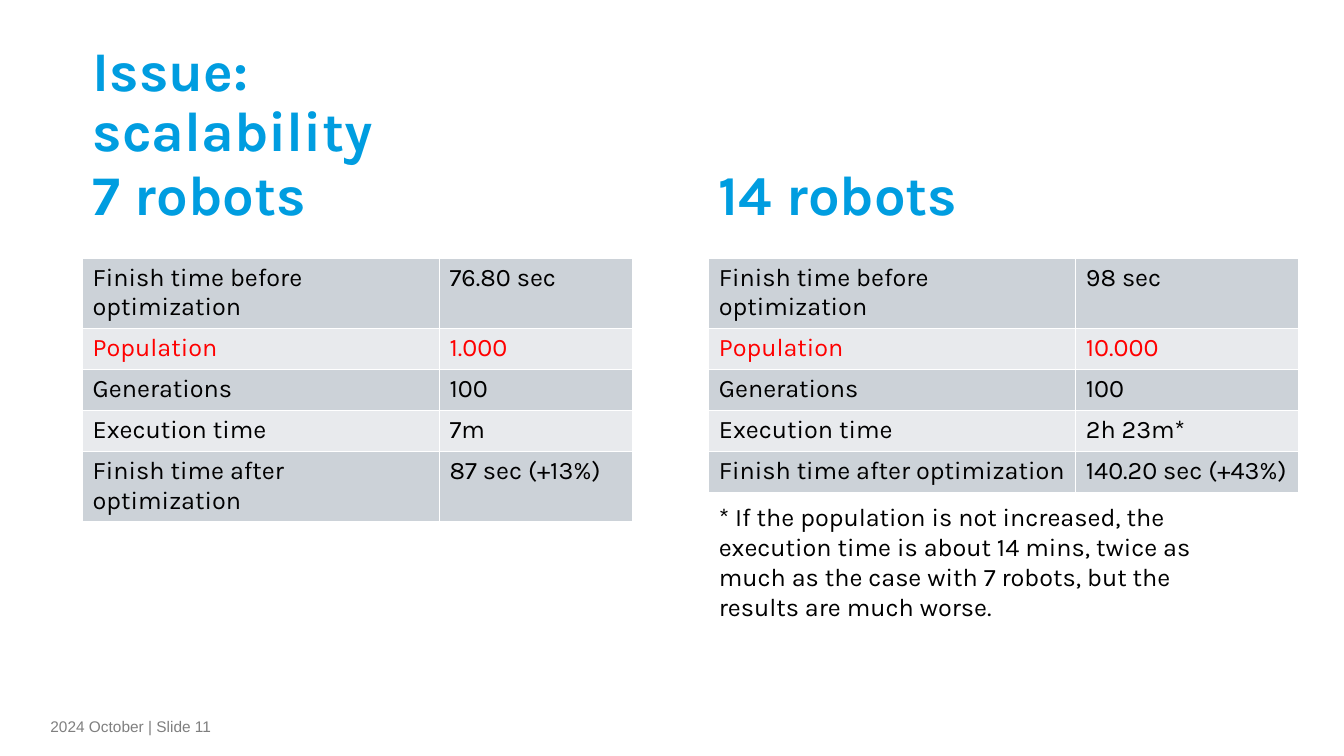
from dataclasses import dataclass

from lxml.etree import SubElement
from pptx import Presentation
from pptx.dml.color import RGBColor
from pptx.enum.text import MSO_ANCHOR
from pptx.oxml.ns import qn
from pptx.slide import Slide
from pptx.table import _Cell
from pptx.text.text import TextFrame
from pptx.util import Emu, Inches, Pt

SLIDE_WIDTH = Inches(13.33)
SLIDE_HEIGHT = Inches(7.5)

COLORS = {
    "heading": "009DE0",
    "text": "000000",
    "highlight": "FF0000",
    "footer": "7F7F7F",
    "dark_band": "CCD2D8",
    "light_band": "E8EAED",
    "border": "FFFFFF",
}

# Positions and sizes are percentages of the slide
LEFT_COLUMN = 6.15
RIGHT_COLUMN = 52.74
HEADING_TOP = 19.87
HEADING_WIDTH = 21.08
HEADING_HEIGHT = 12.4
TABLE_TOP = 34.13
ROW_HEIGHT = 5.41

ROW_LABELS = (
    "Finish time before optimization",
    "Population",
    "Generations",
    "Execution time",
    "Finish time after optimization",
)
HIGHLIGHTED_ROW = "Population"


@dataclass(frozen=True)
class Box:
    left: float
    top: float
    width: float
    height: float


@dataclass(frozen=True)
class Experiment:
    heading: str
    left: float
    column_widths: tuple[float, float]
    values: tuple[str, ...]


EXPERIMENTS = (
    Experiment("7 robots", LEFT_COLUMN, (26.56, 14.33),
               ("76.80 sec", "1.000", "100", "7m", "87 sec (+13%)")),
    Experiment("14 robots", RIGHT_COLUMN, (27.31, 16.6),
               ("98 sec", "10.000", "100", "2h 23m*", "140.20 sec (+43%)")),
)


def across(percent: float) -> Emu:
    return Emu(round(SLIDE_WIDTH * percent / 100))


def down(percent: float) -> Emu:
    return Emu(round(SLIDE_HEIGHT * percent / 100))


def write_text(frame: TextFrame, text: str, *, size: float = 18, font: str = "Karla",
               color: str = "text", bold: bool = False, line_spacing: float = 1.0) -> None:
    paragraph = frame.paragraphs[0]
    paragraph.line_spacing = line_spacing
    run = paragraph.add_run()
    run.text = text
    run.font.size = Pt(size)
    run.font.name = font
    run.font.bold = bold
    run.font.color.rgb = RGBColor.from_string(COLORS[color])


def add_text(slide: Slide, box: Box, text: str, *, anchor: MSO_ANCHOR = MSO_ANCHOR.TOP,
             **text_format) -> TextFrame:
    shape = slide.shapes.add_textbox(across(box.left), down(box.top),
                                     across(box.width), down(box.height))
    frame = shape.text_frame
    frame.word_wrap = True
    frame.vertical_anchor = anchor
    write_text(frame, text, **text_format)
    return frame


def add_heading(slide: Slide, box: Box, text: str) -> None:
    add_text(slide, box, text, anchor=MSO_ANCHOR.MIDDLE, size=40, color="heading",
             bold=True, line_spacing=0.9)


def add_borders(cell: _Cell) -> None:
    properties = cell._tc.get_or_add_tcPr()
    for side in ("a:lnL", "a:lnR", "a:lnT", "a:lnB"):
        line = SubElement(properties, qn(side), w=str(Pt(1)))
        fill = SubElement(line, qn("a:solidFill"))
        SubElement(fill, qn("a:srgbClr"), val=COLORS["border"])


def add_results_table(slide: Slide, experiment: Experiment) -> None:
    row_count = len(ROW_LABELS)
    shape = slide.shapes.add_table(
        row_count, 2, across(experiment.left), down(TABLE_TOP),
        across(sum(experiment.column_widths)), down(ROW_HEIGHT * row_count))
    table = shape.table
    table.first_row = False
    table.horz_banding = False
    for column, width in zip(table.columns, experiment.column_widths):
        column.width = across(width)
    for row_index, entries in enumerate(zip(ROW_LABELS, experiment.values)):
        table.rows[row_index].height = down(ROW_HEIGHT)
        band = "light_band" if row_index % 2 else "dark_band"
        color = "highlight" if entries[0] == HIGHLIGHTED_ROW else "text"
        for column_index, entry in enumerate(entries):
            cell = table.cell(row_index, column_index)
            add_borders(cell)
            cell.fill.solid()
            cell.fill.fore_color.rgb = RGBColor.from_string(COLORS[band])
            write_text(cell.text_frame, entry, color=color)


def main() -> None:
    presentation = Presentation()
    presentation.slide_width = SLIDE_WIDTH
    presentation.slide_height = SLIDE_HEIGHT
    slide = presentation.slides.add_slide(presentation.slide_layouts[6])

    # Title
    add_heading(slide, Box(LEFT_COLUMN, 7.47, 33.61, HEADING_HEIGHT), "Issue: scalability")

    # Headings and results
    for experiment in EXPERIMENTS:
        add_heading(slide, Box(experiment.left, HEADING_TOP, HEADING_WIDTH, HEADING_HEIGHT),
                    experiment.heading)
        add_results_table(slide, experiment)

    # Footnote
    add_text(slide, Box(RIGHT_COLUMN, 65.6, 38.11, 17.47),
             "* If the population is not increased, the execution time is about 14 mins, "
             "twice as much as the case with 7 robots, but the results are much worse.")

    # Footer
    footer = add_text(slide, Box(3.75, 94.93, 17.48, 2.93), "2024 October | Slide 11",
                      anchor=MSO_ANCHOR.MIDDLE, size=11, font="Arial", color="footer")
    footer.margin_left = footer.margin_right = footer.margin_top = 0

    presentation.save("out.pptx")


if __name__ == "__main__":
    main()
